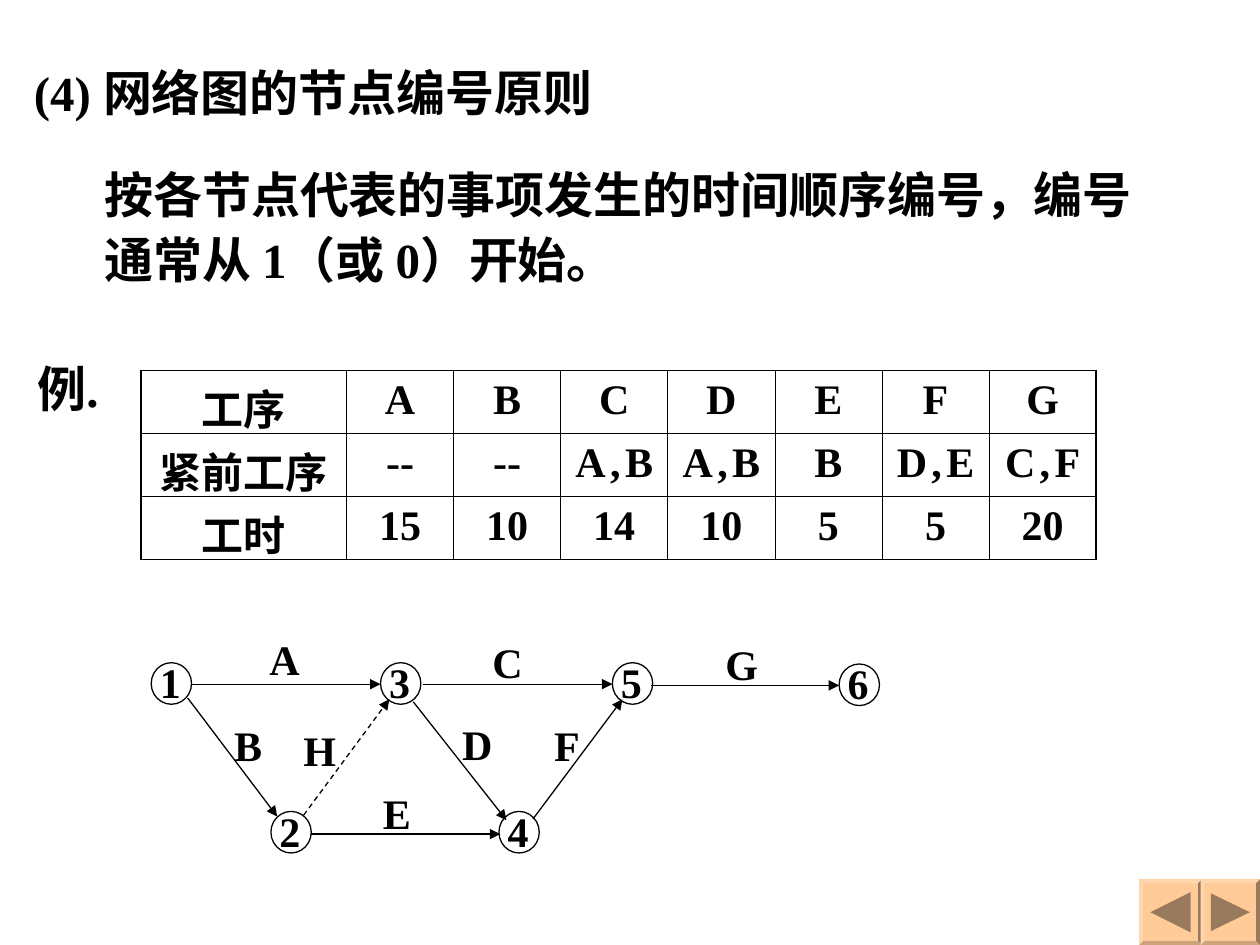
"""Build the slide on node numbering rules for network diagrams."""
import dataclasses
import typing

import lxml.etree
import pptx
import pptx.dml.color
import pptx.enum.dml
import pptx.enum.lang
import pptx.enum.shapes
import pptx.enum.text
import pptx.oxml.ns
import pptx.util

Inches = pptx.util.Inches
Pt = pptx.util.Pt


@dataclasses.dataclass(frozen=True)
class Theme:
    font: str = "Times New Roman"
    ink: str = "000000"
    button: str = "FFCC99"
    button_light: str = "FFD6AD"
    button_shade: str = "CCA37A"
    button_dark: str = "997A5C"
    heading_size: float = 28
    label_size: float = 24
    gap_size: float = 10
    thin: float = 0.45
    thick: float = 1.08
    stroke: float = 0.75


class Label(typing.NamedTuple):
    text: str
    left: float
    top: float
    width: float
    height: float = 0.5
    size: float = 24
    wrap: bool = False
    line_spacing: float = 1.0
    hanging: float = 0


class Node(typing.NamedTuple):
    number: str
    left: float
    top: float


class Arrow(typing.NamedTuple):
    start: tuple[float, float]
    end: tuple[float, float]
    dashed: bool = False


class Button(typing.NamedTuple):
    left: float
    right: float
    triangle: list[tuple[float, float]]


THEME = Theme()
NODE_SIZE = (0.32, 0.33)
BUTTON_TOP, BUTTON_BOTTOM, BEVEL = 6.98, 7.5, 0.03

HEADINGS = [
    Label("(4) 网络图的节点编号原则", 0.17, 0.4, 6.6, 0.62, THEME.heading_size, True, 1.1, 0.5),
    Label("例.", 0.2, 2.8, 0.9, 0.57, THEME.heading_size, True),
    Label("按各节点代表的事项发生的时间顺序编号，编号通常从 1（或 0）开始。",
          0.73, 1.21, 8.53, 1.13, THEME.heading_size, True, 1.1),
]
TABLE_ROWS = [
    ["工序", "A", "B", "C", "D", "E", "F", "G"],
    ["紧前工序", "--", "--", "A , B", "A , B", "B", "D , E", "C , F"],
    ["工时", "15", "10", "14", "10", "5", "5", "20"],
]
COLUMN_WIDTHS = [1.63] + [0.85] * 7
NODES = [
    Node("1", 1.2, 5.26), Node("2", 2.15, 6.44), Node("3", 3.02, 5.26),
    Node("4", 3.96, 6.44), Node("5", 4.86, 5.26), Node("6", 6.66, 5.27),
]
ARROWS = [
    Arrow((1.52, 5.43), (3.02, 5.43)), Arrow((3.36, 5.43), (4.86, 5.43)),
    Arrow((5.17, 5.44), (6.66, 5.44)), Arrow((3.28, 5.57), (4.02, 6.51)),
    Arrow((2.47, 6.62), (3.97, 6.62)), Arrow((4.23, 6.5), (4.94, 5.55)),
    Arrow((2.41, 6.47), (3.09, 5.55), True), Arrow((1.49, 5.54), (2.2, 6.48)),
]
ACTIVITIES = [
    Label("A", 2.04, 4.98, 0.44), Label("B", 1.76, 5.66, 0.42),
    Label("C", 3.81, 5.0, 0.44), Label("D", 3.57, 5.65, 0.44),
    Label("E", 2.94, 6.2, 0.42), Label("F", 4.3, 5.66, 0.4),
    Label("G", 5.66, 5.02, 0.46),
    Label("H", 2.31, 5.62, 0.47, 0.58, wrap=True, line_spacing=1.2),
]
BUTTONS = [
    Button(9.04, 9.54, [(9.13, 7.24), (9.45, 7.08), (9.45, 7.4)]),
    Button(9.53, 10, [(9.61, 7.09), (9.92, 7.24), (9.61, 7.39)]),
]


def color(value: str) -> pptx.dml.color.RGBColor:
    """Turn a hex value into a colour."""
    return pptx.dml.color.RGBColor.from_string(value)


def add_run(paragraph, text: str, size: float) -> None:
    """Add one bold run in the theme font."""
    run = paragraph.add_run()
    run.text = text
    run.font.name = THEME.font
    run.font.size = Pt(size)
    run.font.bold = True
    run.font.color.rgb = color(THEME.ink)
    run.font.language_id = pptx.enum.lang.MSO_LANGUAGE_ID.SIMPLIFIED_CHINESE


def draw_label(slide, label: Label) -> None:
    """Draw a text box holding one paragraph."""
    shape = slide.shapes.add_textbox(
        Inches(label.left), Inches(label.top), Inches(label.width), Inches(label.height))
    frame = shape.text_frame
    frame.word_wrap = label.wrap
    frame.auto_size = pptx.enum.text.MSO_AUTO_SIZE.SHAPE_TO_FIT_TEXT
    paragraph = frame.paragraphs[0]
    paragraph.line_spacing = label.line_spacing
    if label.hanging:
        properties = paragraph._p.get_or_add_pPr()
        properties.set("marL", str(Inches(label.hanging)))
        properties.set("indent", str(-Inches(label.hanging)))
    add_run(paragraph, label.text, label.size)


def set_border(cell, side: str, width: float) -> None:
    """Add a solid border to one side of a cell."""
    border = lxml.etree.SubElement(
        cell._tc.get_or_add_tcPr(), pptx.oxml.ns.qn(f"a:ln{side}"), w=str(Pt(width)))
    fill = lxml.etree.SubElement(border, pptx.oxml.ns.qn("a:solidFill"))
    lxml.etree.SubElement(fill, pptx.oxml.ns.qn("a:srgbClr"), val=THEME.ink)


def draw_table(slide) -> None:
    """Draw the activity table with a thicker outer frame."""
    last_row, last_column = len(TABLE_ROWS) - 1, len(COLUMN_WIDTHS) - 1
    table = slide.shapes.add_table(
        len(TABLE_ROWS), len(COLUMN_WIDTHS), Inches(1.12), Inches(2.94),
        Inches(sum(COLUMN_WIDTHS)), Inches(1.5)).table
    table.first_row = table.horz_banding = False
    for column, width in zip(table.columns, COLUMN_WIDTHS):
        column.width = Inches(width)
    for row_index, row in enumerate(TABLE_ROWS):
        for column_index, text in enumerate(row):
            cell = table.cell(row_index, column_index)
            paragraph = cell.text_frame.paragraphs[0]
            paragraph.alignment = pptx.enum.text.PP_ALIGN.CENTER
            for part in text.replace(" ", "| |").split("|"):
                add_run(paragraph, part, THEME.gap_size if part == " " else THEME.label_size)
            outer_sides = {"L": column_index == 0, "R": column_index == last_column,
                           "T": row_index == 0, "B": row_index == last_row}
            for side, is_outer in outer_sides.items():
                set_border(cell, side, THEME.thick if is_outer else THEME.thin)
            cell.fill.background()


def draw_node(slide, node: Node) -> None:
    """Draw a numbered circle."""
    draw_label(slide, Label(node.number, node.left - 0.03, node.top - 0.1, 0.36))
    shape = slide.shapes.add_shape(
        pptx.enum.shapes.MSO_SHAPE.OVAL, Inches(node.left), Inches(node.top),
        *map(Inches, NODE_SIZE))
    shape.shadow.inherit = False
    shape.fill.background()
    shape.line.color.rgb = color(THEME.ink)
    shape.line.width = Pt(THEME.stroke)


def draw_arrow(slide, arrow: Arrow) -> None:
    """Draw a line with a triangular head at its end."""
    connector = slide.shapes.add_connector(
        pptx.enum.shapes.MSO_CONNECTOR.STRAIGHT, *map(Inches, arrow.start + arrow.end))
    connector.line.color.rgb = color(THEME.ink)
    connector.line.width = Pt(THEME.stroke)
    if arrow.dashed:
        connector.line.dash_style = pptx.enum.dml.MSO_LINE.DASH
    lxml.etree.SubElement(
        connector.line._get_or_add_ln(), pptx.oxml.ns.qn("a:tailEnd"), type="triangle")
    lxml.etree.SubElement(connector._element.spPr, pptx.oxml.ns.qn("a:effectLst"))


def draw_polygon(slide, points: list[tuple[float, float]], fill: str) -> None:
    """Draw a filled outline without a border."""
    corners = [(Inches(x), Inches(y)) for x, y in points]
    builder = slide.shapes.build_freeform(*corners[0])
    builder.add_line_segments(corners[1:], close=True)
    shape = builder.convert_to_shape()
    shape.shadow.inherit = False
    shape.fill.solid()
    shape.fill.fore_color.rgb = color(fill)
    shape.line.fill.background()


def draw_button(slide, button: Button) -> None:
    """Draw a bevelled navigation button."""
    def corners(inset: float) -> list[tuple[float, float]]:
        """List the corners clockwise from the top left."""
        left, right = button.left + inset, button.right - inset
        top, bottom = BUTTON_TOP + inset, BUTTON_BOTTOM - inset
        return [(left, top), (right, top), (right, bottom), (left, bottom)]

    outer, inner = corners(0), corners(BEVEL)
    draw_polygon(slide, outer, THEME.button)
    shades = [THEME.button_light, THEME.button_dark, THEME.button_shade, THEME.button_light]
    for index, shade in enumerate(shades):
        following = (index + 1) % 4
        draw_polygon(
            slide, [outer[index], outer[following], inner[following], inner[index]], shade)
    draw_polygon(slide, button.triangle, THEME.button_dark)


def main() -> None:
    """Build and save the slide."""
    presentation = pptx.Presentation()
    presentation.slide_width, presentation.slide_height = Inches(10), Inches(7.5)
    slide = presentation.slides.add_slide(presentation.slide_layouts[6])
    for draw, items in ((draw_button, BUTTONS), (draw_label, HEADINGS), (draw_node, NODES),
                        (draw_arrow, ARROWS), (draw_label, ACTIVITIES)):
        for item in items:
            draw(slide, item)
    draw_table(slide)
    presentation.save("out.pptx")


if __name__ == "__main__":
    main()
